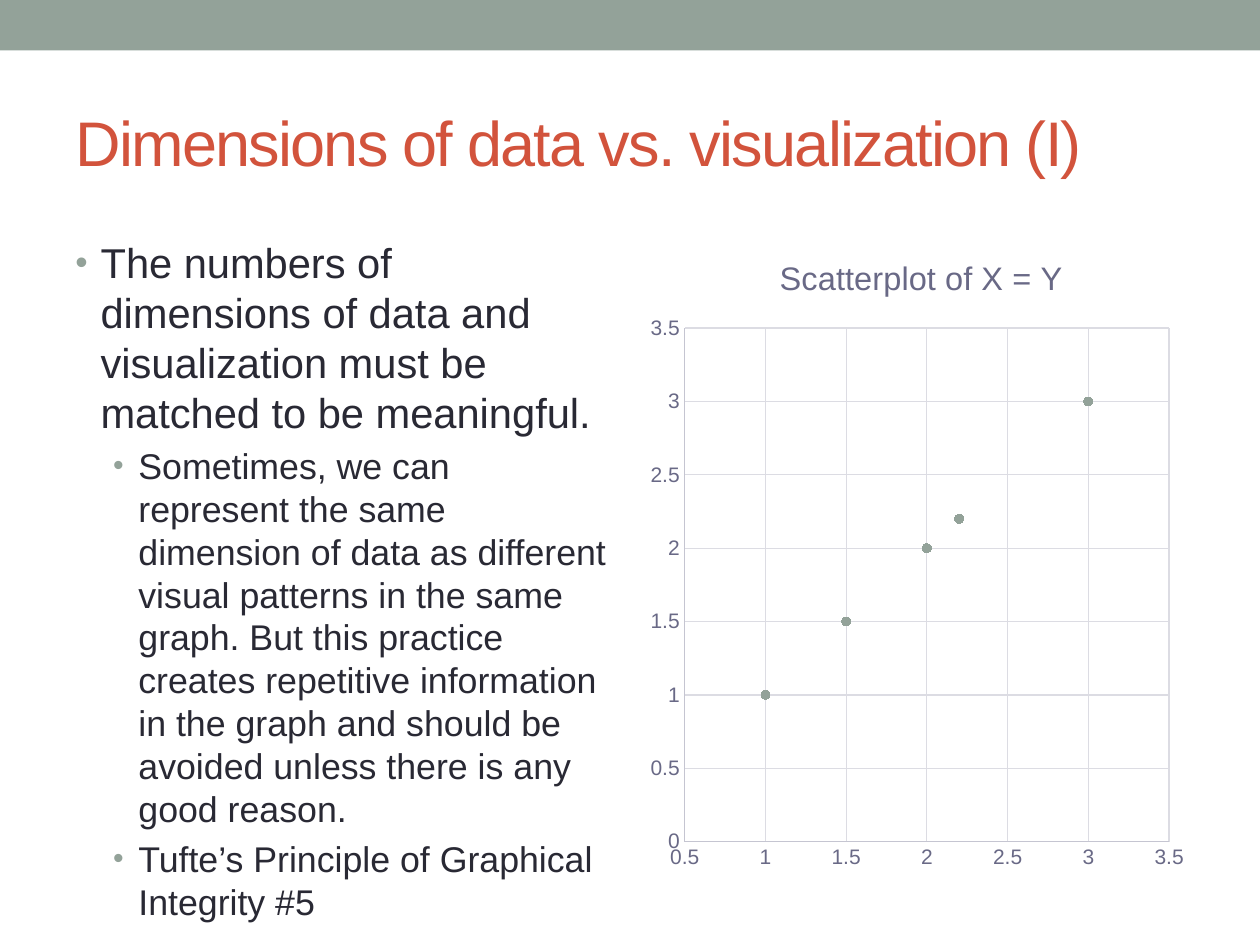
from lxml import etree
from pptx import Presentation
from pptx.chart.data import XyChartData
from pptx.dml.color import RGBColor
from pptx.enum import chart as ch, shapes, text
from pptx.oxml import ns, parse_xml
from pptx.util import Pt

# Content
HEADING = "Dimensions of data vs. visualization (I)"
BULLETS = [  # (level, text)
    (0, "The numbers of dimensions of data and visualization must be "
        "matched to be meaningful."),
    (1, "Sometimes, we can represent the same dimension of data as different "
        "visual patterns in the same graph. But this practice creates "
        "repetitive information in the graph and should be avoided unless "
        "there is any good reason."),
    (1, "Tufte’s Principle of Graphical Integrity #5"),
]
PLOT_TITLE = "Scatterplot of X = Y"
POINTS = [(v, v) for v in (1, 2, 1.5, 3, 2.2)]
AXIS_MIN = {"x": 0.5, "y": 0}
AXIS_MAX, AXIS_STEP = 3.5, 0.5

THEME = {
    "font": "Arial",
    "band": "93A299", "heading": "D2533C", "body": "292934",
    "label": "696986", "axis": "C5C5D1", "grid": "DCDCE3",
    "heading_size": 36, "level_sizes": (23.8, 20.4),
    "plot_title_size": 18.6, "label_size": 12,
}

# Geometry in points
SLIDE_W, SLIDE_H = 720, 540
MARGIN, COLUMN_GAP = 36, 11.6
COLUMN_W = (SLIDE_W - 2 * MARGIN - COLUMN_GAP) / 2
COLUMN_TOP, COLUMN_H = 131.8, 371.5
LEVEL_INDENTS, HANGING = (14.4, 36), 14.4


def colour(key):
    return RGBColor.from_string(THEME[key])


def style_font(font, size, key):
    font.name, font.size = THEME["font"], Pt(size)
    font.color.rgb = colour(key)


def add_text_frame(slide, left, top, width, height):
    frame = slide.shapes.add_textbox(
        Pt(left), Pt(top), Pt(width), Pt(height)).text_frame
    frame.word_wrap = True
    return frame


def add_bullet(paragraph, level):
    props = paragraph._p.get_or_add_pPr()
    props.set("marL", str(Pt(LEVEL_INDENTS[level])))
    props.set("indent", str(-Pt(HANGING)))
    bullet_colour = etree.SubElement(props, ns.qn("a:buClr"))
    etree.SubElement(bullet_colour, ns.qn("a:srgbClr"), val=THEME["band"])
    etree.SubElement(props, ns.qn("a:buSzPct"), val="85000")
    etree.SubElement(props, ns.qn("a:buFont"), typeface=THEME["font"])
    etree.SubElement(props, ns.qn("a:buChar"), char="•")


def manual_layout(target, **places):
    """Return a chart layout holding fractions of the chart area."""
    inner = f'<c:layoutTarget val="{target}"/>' if target else ""
    modes = "".join(f'<c:{k}Mode val="edge"/>' for k in "xy")
    values = "".join(f'<c:{k} val="{v}"/>' for k, v in places.items())
    return parse_xml(f'<c:layout {ns.nsdecls("c")}><c:manualLayout>{inner}'
                     f'{modes}{values}</c:manualLayout></c:layout>')


def place(element, layout, before):
    for old in element.findall(ns.qn("c:layout")):
        element.remove(old)
    element.insert(before, layout)


def style_axis(axis, minimum):
    axis.minimum_scale, axis.maximum_scale = minimum, AXIS_MAX
    axis.major_unit = AXIS_STEP
    axis.major_tick_mark = axis.minor_tick_mark = ch.XL_TICK_MARK.NONE
    axis.has_major_gridlines = True
    for line, key in ((axis.format.line, "axis"),
                      (axis.major_gridlines.format.line, "grid")):
        line.color.rgb, line.width = colour(key), Pt(0.75)
    style_font(axis.tick_labels.font, THEME["label_size"], "label")
    axis.tick_labels.number_format = "General"
    axis.tick_labels.number_format_is_linked = False


def add_scatterplot(slide):
    data = XyChartData()
    series_data = data.add_series("Series 1")
    for x, y in POINTS:
        series_data.add_data_point(x, y)
    plot = slide.shapes.add_chart(
        ch.XL_CHART_TYPE.XY_SCATTER,
        Pt(MARGIN + COLUMN_W + COLUMN_GAP), Pt(COLUMN_TOP),
        Pt(COLUMN_W), Pt(COLUMN_H), data).chart
    plot.has_legend = False
    style_font(plot.font, 10, "body")
    plot.plots[0].vary_by_categories = False

    # Title and plot area
    plot.has_title = True
    title_text = plot.chart_title.text_frame
    title_text.text = PLOT_TITLE
    title_font = title_text.paragraphs[0].runs[0].font
    style_font(title_font, THEME["plot_title_size"], "label")
    title_font.bold = False
    place(plot.chart_title._element, manual_layout("", x=0.24, y=0.03), 1)
    area = plot._chartSpace.chart.plotArea
    place(area, manual_layout("inner", x=0.08, y=0.15, w=0.87, h=0.79), 0)

    # Axes and points
    style_axis(plot.category_axis, AXIS_MIN["x"])
    style_axis(plot.value_axis, AXIS_MIN["y"])
    series = plot.plots[0].series[0]
    series.smooth = False
    series.format.line.fill.background()
    marker = series.marker
    marker.style, marker.size = ch.XL_MARKER_STYLE.CIRCLE, 5
    marker.format.fill.solid()
    marker.format.fill.fore_color.rgb = colour("band")
    marker.format.line.color.rgb = colour("band")


def main():
    deck = Presentation()
    deck.slide_width, deck.slide_height = Pt(SLIDE_W), Pt(SLIDE_H)
    slide = deck.slides.add_slide(deck.slide_layouts[6])

    # Top band
    band = slide.shapes.add_shape(
        shapes.MSO_SHAPE.RECTANGLE, 0, 0, Pt(SLIDE_W), Pt(28.8))
    band.shadow.inherit = False
    band.fill.solid()
    band.fill.fore_color.rgb = colour("band")
    band.line.fill.background()

    # Heading
    heading = add_text_frame(slide, MARGIN, 41.8, SLIDE_W - 2 * MARGIN, 77.8)
    heading.vertical_anchor = text.MSO_ANCHOR.MIDDLE
    heading.text = HEADING
    heading_run = heading.paragraphs[0].runs[0]
    style_font(heading_run.font, THEME["heading_size"], "heading")
    heading_run._r.get_or_add_rPr().set("spc", "-100")

    # Bullets
    body = add_text_frame(slide, MARGIN, COLUMN_TOP, COLUMN_W, COLUMN_H)
    for i, (level, words) in enumerate(BULLETS):
        paragraph = body.add_paragraph() if i else body.paragraphs[0]
        paragraph.text, paragraph.level = words, level
        paragraph.line_spacing, paragraph.space_before = 1.0, Pt(4)
        add_bullet(paragraph, level)
        style_font(paragraph.runs[0].font, THEME["level_sizes"][level], "body")

    add_scatterplot(slide)
    deck.save("out.pptx")


if __name__ == "__main__":
    main()
